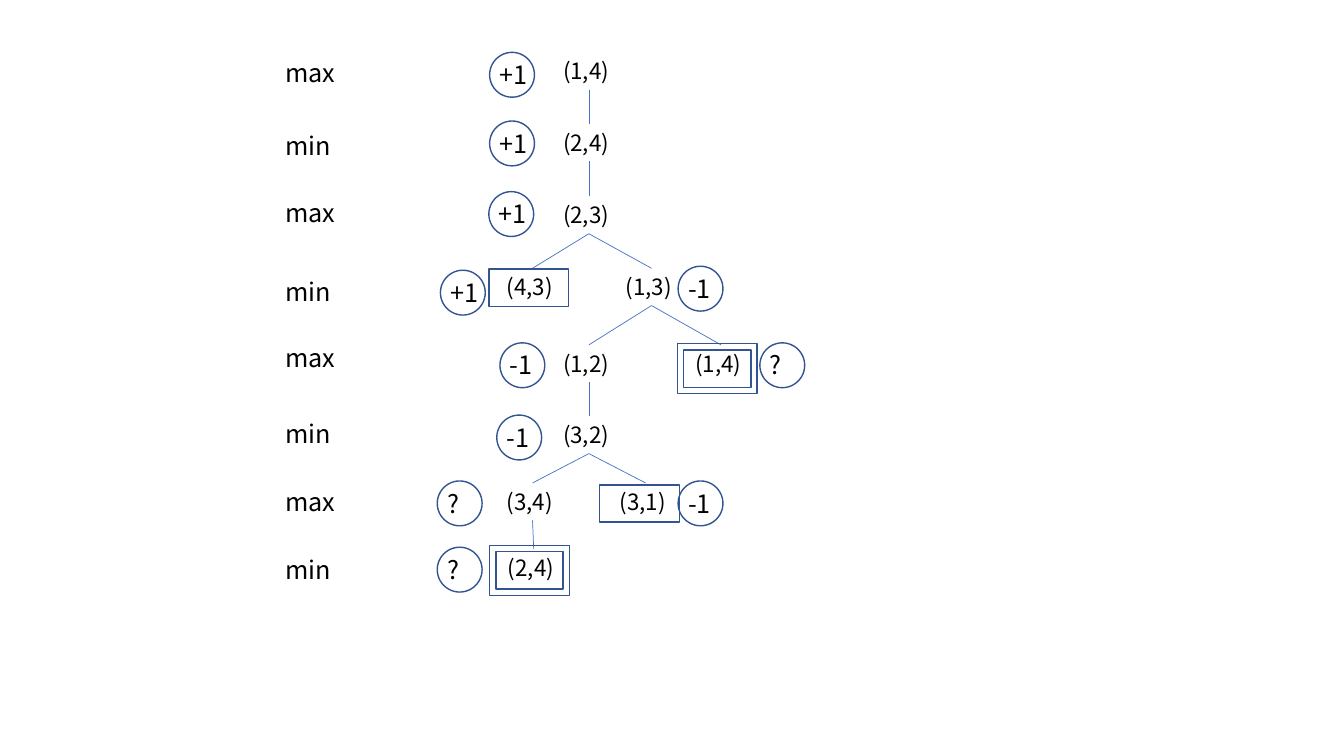
from pptx import Presentation
from pptx.dml.color import RGBColor
from pptx.enum.shapes import MSO_CONNECTOR, MSO_SHAPE
from pptx.util import Cm, Pt
from lxml.etree import SubElement
from pptx.oxml.ns import qn


def color(hex):
    """Turn a hex string into a colour."""
    return RGBColor.from_string(hex)


def write(text, left, top, wide, high, size=18, font="Noto Sans CJK SC", ink="000000"):
    """Add a text box at a place given in centimetres."""
    box = slide.shapes.add_textbox(Cm(left), Cm(top), Cm(wide), Cm(high))
    box.text_frame.word_wrap = True
    run = box.text_frame.paragraphs[0].add_run()
    run.text = text
    run.font.size = Pt(size)
    run.font.name = font
    run.font.color.rgb = color(ink)
    # East Asian face, so that every glyph uses the same font
    SubElement(run.font._element, qn("a:ea"), typeface=font)


deck = Presentation()
deck.slide_width, deck.slide_height = Cm(33.87), Cm(19.05)
slide = deck.slides.add_slide(deck.slide_layouts[6])

# Game tree: state, left, top, index of the parent node
node_w, node_h = 1.8, 0.94
nodes = [
    ("(1,4)", 13.94, 1.32, None),
    ("(2,4)", 13.94, 3.12, 0),
    ("(2,3)", 13.94, 4.95, 1),
    ("(4,3)", 12.52, 6.76, 2),
    ("(1,3)", 15.52, 6.76, 2),
    ("(1,2)", 13.94, 8.69, 4),
    ("(1,4)", 17.27, 8.69, 4),
    ("(3,2)", 13.94, 10.49, 5),
    ("(3,4)", 12.52, 12.17, 7),
    ("(3,1)", 15.37, 12.17, 7),
    ("(2,4)", 12.55, 13.84, 8),
]
for state, left, top, root in nodes:
    write(state, left, top, node_w, node_h, size=16)
    if root is not None:
        from_x, from_y = nodes[root][1:3]
        edge = slide.shapes.add_connector(
            MSO_CONNECTOR.STRAIGHT,
            Cm(from_x + node_w / 2), Cm(from_y + node_h),
            Cm(left + node_w / 2), Cm(top))
        edge.line.color.rgb = color("4472C4")
        edge.line.width = Pt(0.5)
        SubElement(edge._element.spPr, qn("a:effectLst"))

# Value of each node: text, left, top
values = [
    ("+1", 12.34, 1.32), ("+1", 12.34, 3.05), ("+1", 12.32, 4.83),
    ("+1", 11.1, 6.81), ("-1", 17.09, 6.71),
    ("-1", 12.6, 8.64), ("?", 19.15, 8.64),
    ("-1", 12.52, 10.46),
    ("?", 11.02, 12.12), ("-1", 17.09, 12.12),
    ("?", 11.02, 13.79),
]
# Boxes mark end states, frames mark repeated states
marks = [(MSO_SHAPE.OVAL, left, top, 1.13, 1.13) for _, left, top in values]
marks += [(MSO_SHAPE.FRAME, left, top, 2.01, 1.26)
          for left, top in [(17.07, 8.66), (12.34, 13.74)]]
marks += [(MSO_SHAPE.RECTANGLE, left, top, 2.01, node_h)
          for left, top in [(12.32, 6.78), (15.11, 12.22)]]
for kind, left, top, wide, high in marks:
    mark = slide.shapes.add_shape(kind, Cm(left), Cm(top), Cm(wide), Cm(high))
    mark.shadow.inherit = False
    mark.fill.background()
    mark.line.color.rgb = color("325491")
    mark.line.width = Pt(1)
for value, left, top in values:
    write(value, left, top + 0.05, 1.42, 1.02)

# Players take turns down the levels
levels = [1.32, 3.15, 4.85, 6.83, 8.51, 10.41, 12.12, 13.84]
for turn, top in enumerate(levels):
    write(("max", "min")[turn % 2], 6.94, top, 2.54, 1.02)

deck.save("out.pptx")
